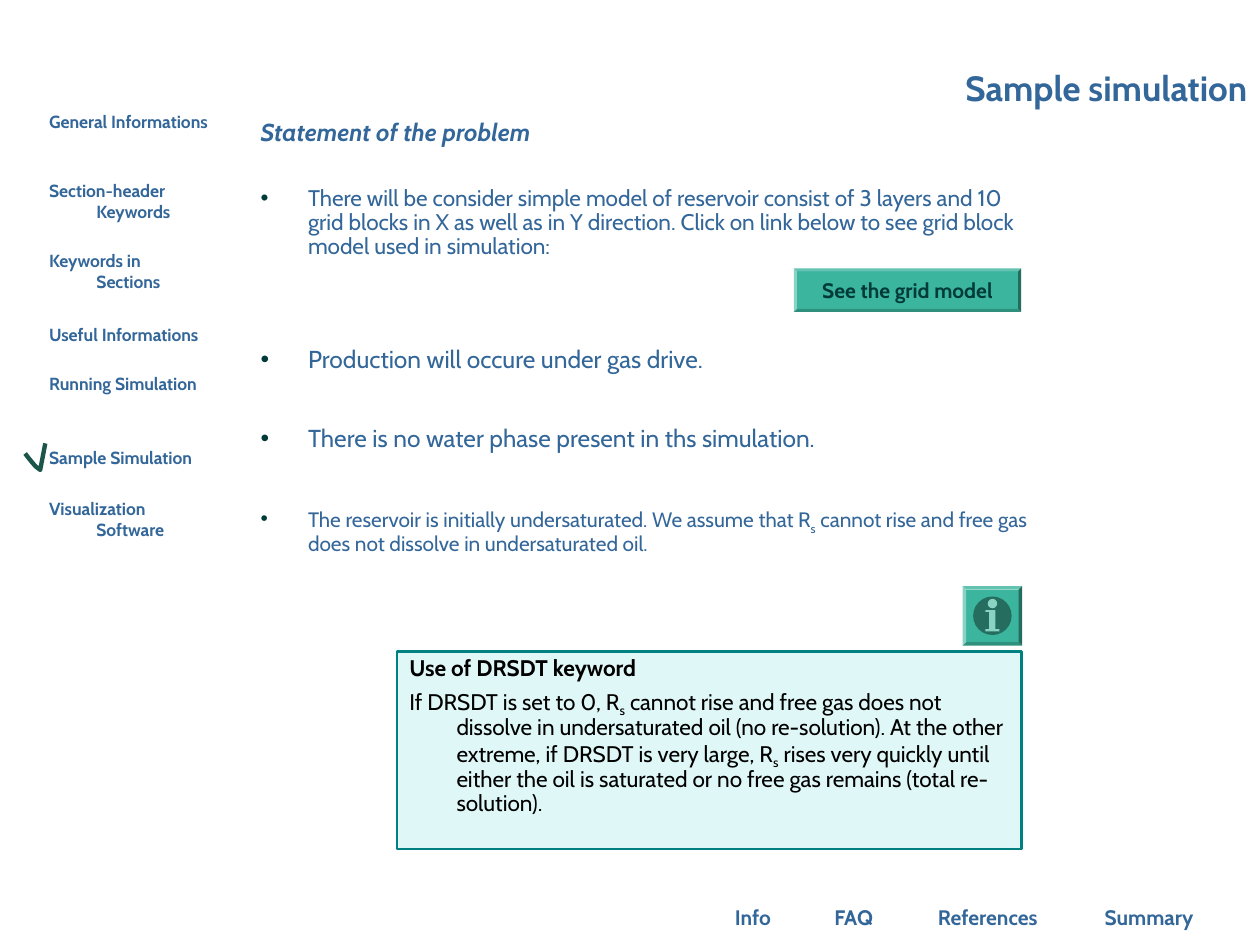
from lxml import etree
from pptx import Presentation
from pptx.dml import color
from pptx.enum import shapes as kinds, text as t
from pptx.oxml import ns
from pptx.util import Pt

BLUE, DARK, GREEN = "336699", "003A39", "3BB59E"
SHADE, LIGHT = "246D5F", "89D3C5"
HANG = 27


def rgb(code):
    """Turn a hex string into a colour."""
    return color.RGBColor.from_string(code)


def sub(parent, tag, **attrs):
    """Append a drawing element with its attributes."""
    return etree.SubElement(parent, ns.qn(tag), attrs)


def put(frame, words, size=12, ink=BLUE, bold=False, italic=False, align="LEFT",
        hang=0, dot=None, before=0, lead=None, more=False):
    """Write one paragraph; text between tildes is subscript."""
    par = frame.add_paragraph() if more else frame.paragraphs[0]
    par.alignment = getattr(t.PP_ALIGN, align)
    par.space_before = Pt(before)
    if lead:
        par.line_spacing = lead
    props = par._p.get_or_add_pPr()
    props.set("marL", str(Pt(hang)))
    props.set("indent", str(Pt(-hang)))
    if dot:
        sub(sub(props, "a:buClr"), "a:srgbClr", val=dot)
        sub(props, "a:buFont", typeface="Arial")
        sub(props, "a:buChar", char="•")
    else:
        sub(props, "a:buNone")
    for i, part in enumerate(words.split("~")):
        run = par.add_run()
        run.text = part
        font = run.font
        font.name, font.size = "Cabin", Pt(size)
        font.bold, font.italic = bold, italic
        font.color.rgb = rgb(ink)
        if i % 2:
            font._element.set("baseline", "-25000")


def place(shape, box):
    """Move a shape to a box given in points."""
    shape.left, shape.top, shape.width, shape.height = map(Pt, box)


def setup(frame, anchor="TOP", inset=True, wrap=True):
    """Set the anchor, insets and wrapping of a text frame."""
    frame.auto_size = t.MSO_AUTO_SIZE.NONE
    frame.word_wrap = wrap
    frame.vertical_anchor = getattr(t.MSO_ANCHOR, anchor)
    frame.margin_left = frame.margin_right = Pt(7.2 if inset else 0)
    frame.margin_top = frame.margin_bottom = Pt(3.6 if inset else 0)
    return frame


def label(slide, box, words, anchor="TOP", inset=True, wrap=True, **form):
    """Add a text box holding one paragraph."""
    frame = slide.shapes.add_textbox(*map(Pt, box)).text_frame
    put(setup(frame, anchor, inset, wrap), words, **form)


def paint(shape, fill=None, line=None, width=0):
    """Set fill and line and drop the shadow."""
    shape.shadow.inherit = False
    if fill:
        shape.fill.solid()
        shape.fill.fore_color.rgb = rgb(fill)
    else:
        shape.fill.background()
    if line:
        shape.line.color.rgb = rgb(line)
        shape.line.width = Pt(width)
    else:
        shape.line.fill.background()
    return shape


def draw(slide, kind, box, fill, **line):
    """Add a painted preset shape."""
    preset = getattr(kinds.MSO_SHAPE, kind)
    return paint(slide.shapes.add_shape(preset, *map(Pt, box)), fill, **line)


def trace(slide, x, y, spots, close=False):
    """Build an outline from points relative to a corner."""
    first, *rest = [(Pt(x + a), Pt(y + b)) for a, b in spots]
    pen = slide.shapes.build_freeform(*first)
    pen.add_line_segments(rest, close=close)
    return pen.convert_to_shape()


def menu(slide, x, y):
    """Add the side menu and the tick at its current entry."""
    items = [("General Informations", 0, 94), ("Section-header Keywords", 39.6, 87),
             ("Keywords in Sections", 79.2, 90), ("Useful Informations", 121.7, 105),
             ("Running Simulation", 149.8, 96.5), ("Sample Simulation", 192.2, 96.5),
             ("Visualization Software", 221, 88)]
    for words, down, wide in items:
        label(slide, (x, y + down, wide, 25), words, inset=False,
              size=10, bold=True, hang=HANG)
    tick = [(-2.2, 190), (-5.1, 205.2), (-7.9, 203), (-10.1, 200.4),
            (-11.5, 198.7), (-13.7, 195.8)]
    paint(trace(slide, x, y, tick), line="1C564B", width=2.5)


def footer(slide, y):
    """Add the row of links at the bottom."""
    for words, x, wide in [("Info", 405.4, 49.7), ("FAQ", 466.6, 42.5),
                           ("References", 523.4, 82.1), ("Summary", 619.9, 73.4)]:
        label(slide, (x, y, wide, 21.6), words, anchor="BOTTOM", wrap=False,
              bold=True, align="CENTER")


def points(shape, box):
    """Fill the body placeholder with the bullet list."""
    place(shape, box)
    frame = setup(shape.text_frame)
    rows = [("There will be consider simple model of reservoir consist of 3 layers and 10 "
             "grid blocks in X as well as in Y direction. Click on link below to see grid "
             "block model used in simulation:", 12.9, 0.9, 0),
            ("Production will occure under gas drive.", 14, 1, 48.4),
            ("There is no water phase present in ths simulation.", 14, 1, 28.3),
            ("The reservoir is initially undersaturated. We assume that R~s~ cannot rise "
             "and free gas does not dissolve in undersaturated oil.", 11.9, 0.9, 31.3)]
    for i, (words, size, lead, gap) in enumerate(rows):
        put(frame, words, size=size, lead=lead, before=gap, hang=HANG, dot=DARK, more=i > 0)


def button(slide, box):
    """Add the bevelled link to the grid model."""
    shape = draw(slide, "BEVEL", box, GREEN)
    shape.adjustments[0] = 0.07
    put(setup(shape.text_frame, "MIDDLE", wrap=False), "See the grid model",
        ink=DARK, bold=True, align="CENTER")


def info(slide, x, y, side):
    """Add the information button."""
    draw(slide, "BEVEL", (x, y, side, side), GREEN).adjustments[0] = 0.06
    mid = side / 2
    for r, down, fill in [(11, mid, SHADE), (2.7, 10, LIGHT)]:
        draw(slide, "OVAL", (x + mid - r, y + down - r, 2 * r, 2 * r), fill)
    stem = [(13, 13.7), (18.8, 13.7), (18.8, 24.6), (21, 24.6), (21, 25.9),
            (13, 25.9), (13, 24.6), (15.2, 24.6), (15.2, 14.8), (13, 14.8)]
    paint(trace(slide, x, y, stem, close=True), LIGHT)


def note(slide, box):
    """Add the tinted note on the keyword."""
    shape = draw(slide, "RECTANGLE", box, "33CCCC", line="008080", width=1.5)
    tint = shape._element.spPr.find(ns.qn("a:solidFill"))[0]
    sub(tint, "a:alpha", val="15000")
    frame = setup(shape.text_frame)
    form = dict(size=12.9, ink="000000", hang=HANG, lead=0.9)
    put(frame, "Use of DRSDT keyword", bold=True, **form)
    put(frame, "If DRSDT is set to 0, R~s~ cannot rise and free gas does not dissolve in "
        "undersaturated oil (no re-solution). At the other extreme, if DRSDT is very large, "
        "R~s~ rises very quickly until either the oil is saturated or no free gas remains "
        "(total re-solution).", before=3.5, more=True, **form)


def main():
    """Build the slide and save it."""
    deck = Presentation()
    deck.slide_width, deck.slide_height = Pt(720), Pt(540)
    slide = deck.slides.add_slide(deck.slide_layouts[1])
    title, body = slide.placeholders
    footer(slide, 513.4)
    menu(slide, 28.1, 63.4)
    place(title, (138.2, 25.9, 581.8, 39.6))
    put(setup(title.text_frame, "BOTTOM"), "Sample simulation",
        size=20, bold=True, align="RIGHT")
    label(slide, (141.8, 63.4, 459.4, 28), "Statement of the problem",
          size=14, bold=True, italic=True, hang=HANG)
    points(body, (141.8, 103, 459.4, 224))
    note(slide, (226.8, 372.2, 357.1, 113))
    button(slide, (453.6, 153.4, 130, 24.8))
    info(slide, 550.1, 334.9, 34)
    deck.save("out.pptx")


if __name__ == "__main__":
    main()
